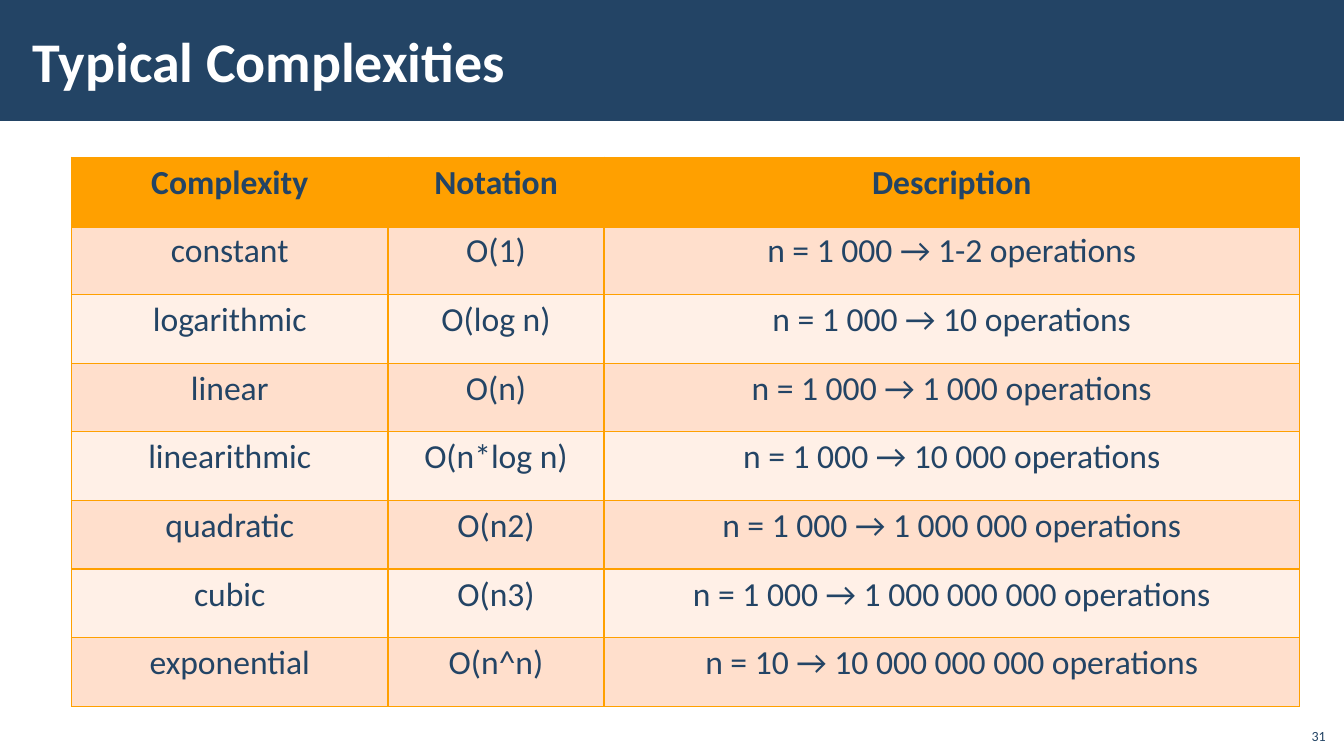
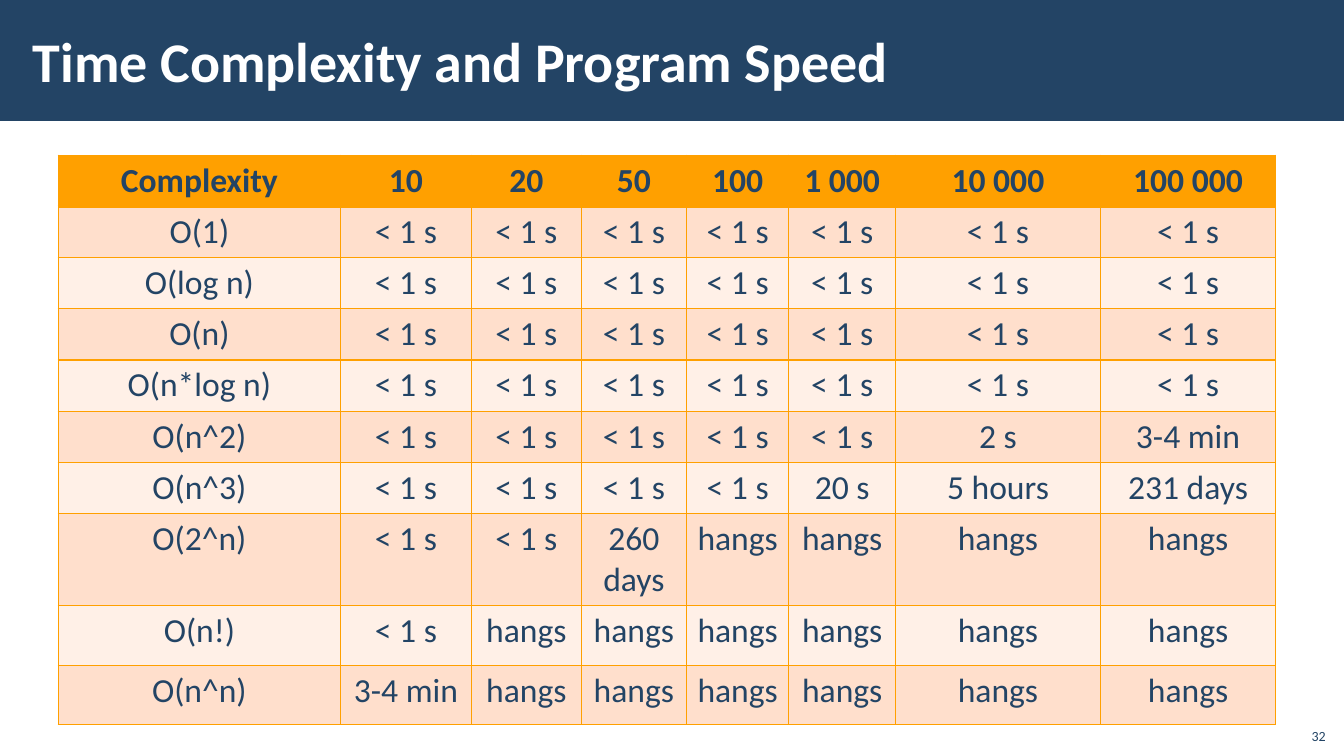
from dataclasses import dataclass

from lxml.etree import SubElement
from pptx import Presentation
from pptx.dml.color import RGBColor as RGB
from pptx.enum.shapes import MSO_SHAPE as Shape
from pptx.enum.text import MSO_ANCHOR as Anchor, MSO_AUTO_SIZE as Fit, PP_ALIGN as Align
from pptx.oxml.ns import qn
from pptx.util import Cm, Pt


# Theme: colours, font and type sizes
@dataclass(frozen=True)
class Theme:
    navy: str = "234465"
    white: str = "FFFFFF"
    orange: str = "FFA000"
    bands: tuple = ("FFDFCC", "FFF0E7")
    font: str = "Calibri"
    title: int = 40
    cell: int = 24
    number: int = 10


THEME = Theme()
WIDTH, HEIGHT = 33.87, 19.05
FIRST = 31

# Content: lengths in centimetres
FAST, HANG = "< 1 s", "hangs"
SLIDES = [
    {
        "title": "Typical Complexities",
        "at": (1.8, 3.96),
        "cols": [7.98, 5.44, 17.53],
        "heights": [1.73] * 8,
        "rows": [
            ("Complexity", "Notation", "Description"),
            ("constant", "O(1)", "n = 1 000 → 1-2 operations"),
            ("logarithmic", "O(log n)", "n = 1 000 → 10 operations"),
            ("linear", "O(n)", "n = 1 000 → 1 000 operations"),
            ("linearithmic", "O(n*log n)", "n = 1 000 → 10 000 operations"),
            ("quadratic", "O(n2)", "n = 1 000 → 1 000 000 operations"),
            ("cubic", "O(n3)", "n = 1 000 → 1 000 000 000 operations"),
            ("exponential", "O(n^n)", "n = 10 → 10 000 000 000 operations"),
        ],
    },
    {
        "title": "Time Complexity and Program Speed",
        "at": (1.47, 3.91),
        "cols": [7.11, 3.3, 2.77, 2.65, 2.58, 2.69, 5.16, 4.42],
        "heights": [1.29] * 7 + [2.32] + [1.5] * 2,
        "rows": [
            ("Complexity", "10", "20", "50", "100", "1 000", "10 000", "100 000"),
            ("O(1)", *[FAST] * 7),
            ("O(log n)", *[FAST] * 7),
            ("O(n)", *[FAST] * 7),
            ("O(n*log n)", *[FAST] * 7),
            ("O(n^2)", *[FAST] * 5, "2 s", "3-4 min"),
            ("O(n^3)", *[FAST] * 4, "20 s", "5 hours", "231 days"),
            ("O(2^n)", *[FAST] * 2, "260\ndays", *[HANG] * 4),
            ("O(n!)", FAST, *[HANG] * 6),
            ("O(n^n)", "3-4 min", *[HANG] * 6),
        ],
    },
]


# Text helpers
def apply(item, values):
    for name, value in values.items():
        setattr(item, name, value)


def style(frame, size, color, align, bold=False):
    look = {"name": THEME.font, "size": Pt(size), "bold": bold}
    for para in frame.paragraphs:
        para.alignment = align
        apply(para.font, look)
        para.font.color.rgb = RGB.from_string(color)


# Shared layout: title place and top band
def set_layout(layout):
    title = layout.placeholders[0]
    apply(title, {"left": Cm(0.53), "top": Cm(0.28),
                  "width": Cm(27), "height": Cm(2.46)})


def add_band(slide, layout):
    band = slide.shapes.add_shape(Shape.RECTANGLE, 0, 0, Cm(WIDTH), Cm(3.05))
    band.shadow.inherit = False
    band.fill.solid()
    band.fill.fore_color.rgb = RGB.from_string(THEME.navy)
    band.line.fill.background()
    layout.placeholders[0].element.addprevious(band.element)


# Slide parts
def add_title(slide, text):
    frame = slide.shapes.title.text_frame
    frame.text = text
    apply(frame, {"vertical_anchor": Anchor.MIDDLE, "auto_size": Fit.NONE,
                  "margin_left": Cm(0.3), "margin_right": Cm(0.3),
                  "margin_top": Cm(0.1), "margin_bottom": Cm(0.1)})
    style(frame, THEME.title, THEME.white, Align.LEFT, True)


def add_number(slide, number):
    box = slide.shapes.add_textbox(Cm(32.64), Cm(18.08), Cm(1.02), Cm(0.81))
    frame = box.text_frame
    frame.text = str(number)
    apply(frame, {"word_wrap": True, "vertical_anchor": Anchor.BOTTOM})
    style(frame, THEME.number, THEME.navy, Align.RIGHT)


def set_cell(cell, text, fill, head):
    cell.text = text
    style(cell.text_frame, THEME.cell, THEME.navy, Align.CENTER, head)
    cell.fill.solid()
    cell.fill.fore_color.rgb = RGB.from_string(fill)
    # Borders must precede the fill in the cell properties
    props = cell._tc.get_or_add_tcPr()
    for spot, side in enumerate(("lnL", "lnR", "lnT", "lnB")):
        width = 3 if head and side == "lnB" else 1
        line = SubElement(props, qn(f"a:{side}"), w=str(Pt(width)))
        paint = SubElement(line, qn("a:solidFill"))
        SubElement(paint, qn("a:srgbClr"), val=THEME.orange)
        props.insert(spot, line)


def add_grid(slide, data):
    rows, cols, heights = data["rows"], data["cols"], data["heights"]
    left, top = data["at"]
    table = slide.shapes.add_table(len(rows), len(cols), Cm(left), Cm(top),
                                   Cm(sum(cols)), Cm(sum(heights))).table
    apply(table, {"first_row": False, "horz_banding": False})
    for col, width in zip(table.columns, cols):
        col.width = Cm(width)
    for row, height in zip(table.rows, heights):
        row.height = Cm(height)
    for r, texts in enumerate(rows):
        fill = THEME.bands[(r - 1) % 2] if r else THEME.orange
        for c, text in enumerate(texts):
            set_cell(table.cell(r, c), text, fill, r == 0)


def main():
    deck = Presentation()
    apply(deck, {"slide_width": Cm(WIDTH), "slide_height": Cm(HEIGHT)})
    layout = deck.slide_layouts[5]
    set_layout(layout)
    for number, data in enumerate(SLIDES, FIRST):
        slide = deck.slides.add_slide(layout)
        if number == FIRST:
            add_band(slide, layout)
        add_title(slide, data["title"])
        add_number(slide, number)
        add_grid(slide, data)
    deck.save("out.pptx")


if __name__ == "__main__":
    main()
